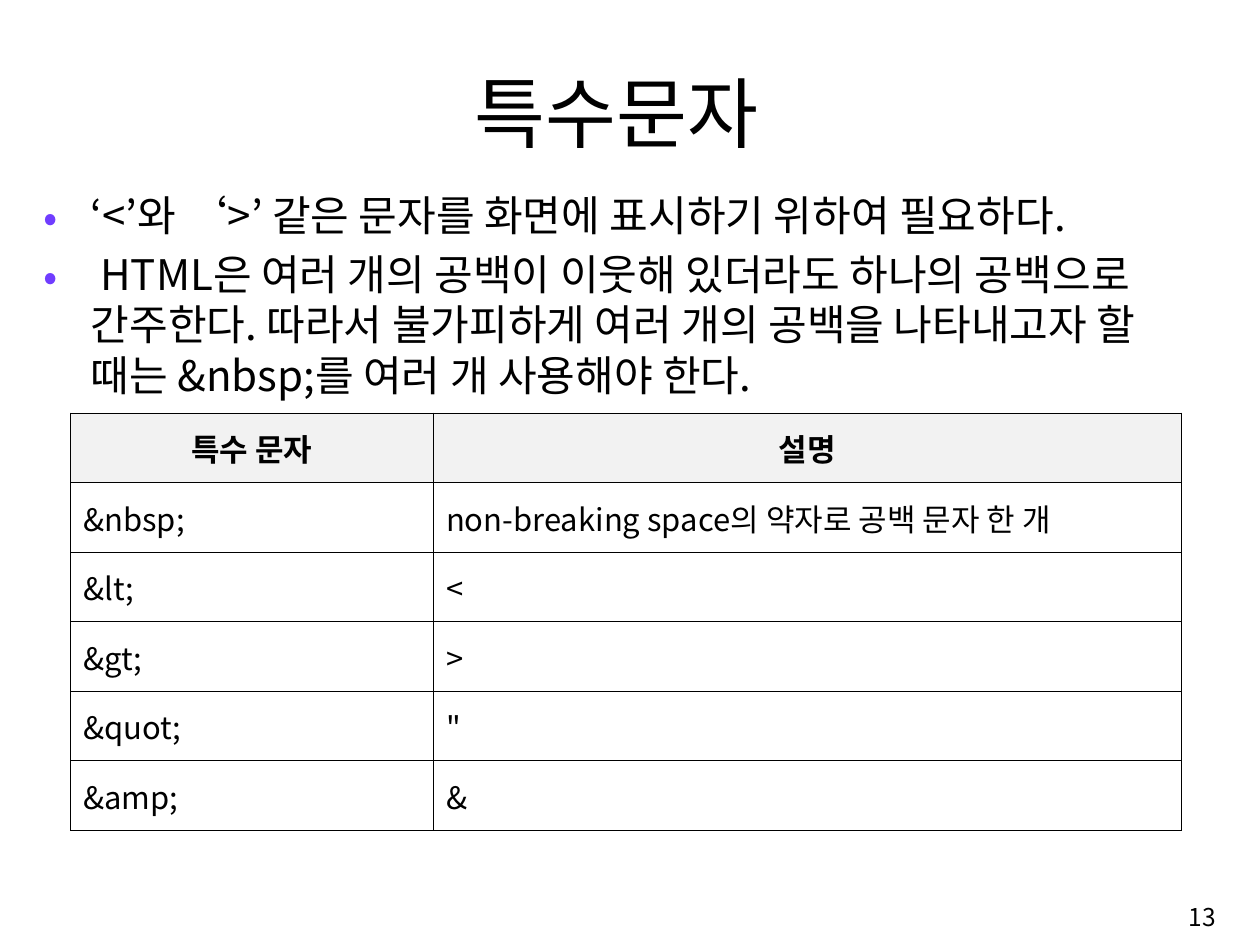
import pptx
import pptx.util
import pptx.dml.color
import pptx.enum.text
import pptx.oxml
import pptx.oxml.ns
import lxml.etree

Cm = pptx.util.Cm
Pt = pptx.util.Pt
ALIGN = pptx.enum.text.PP_ALIGN
ANCHOR = pptx.enum.text.MSO_ANCHOR
BLACK = pptx.dml.color.RGBColor(0x00, 0x00, 0x00)
HEADER_GREY = pptx.dml.color.RGBColor(0xF2, 0xF2, 0xF2)
BULLET_VIOLET = pptx.dml.color.RGBColor(0x70, 0x3D, 0xFF)

BODY = [
    "‘<’와 ‘>’ 같은 문자를 화면에 표시하기 위하여 필요하다.",
    " HTML은 여러 개의 공백이 이웃해 있더라도 하나의 공백으로 간주한다. "
    "따라서 불가피하게 여러 개의 공백을 나타내고자 할 때는 &nbsp;를 여러 개 사용해야 한다.",
]
ENTITIES = [
    ("특수 문자", "설명"),
    ("&nbsp;", "non-breaking space의 약자로 공백 문자 한 개"),
    ("&lt;", "<"),
    ("&gt;", ">"),
    ("&quot;", '"'),
    ("&amp;", "&"),
]


def add_xml(parent, tag, **attributes):
    return lxml.etree.SubElement(parent, pptx.oxml.ns.qn(tag), attributes)


class SlideBuilder:
    font_name = "Noto Sans CJK KR"
    margin_x = Cm(0.33)
    margin_y = Cm(0.16)

    def __init__(self, page):
        self.page = page

    def style(self, para, size, align=ALIGN.LEFT, bold=False):
        para.alignment = align
        font = para.font
        font.name, font.size, font.bold = self.font_name, Pt(size), bold
        font.color.rgb = BLACK
        add_xml(para._p.pPr.defRPr, "a:ea", typeface=self.font_name)

    def bullet(self, para, indent):
        properties = para._p.get_or_add_pPr()
        properties.set("marL", str(indent))
        properties.set("indent", str(-indent))
        color = add_xml(properties, "a:buClr")
        add_xml(color, "a:srgbClr", val=str(BULLET_VIOLET))
        add_xml(properties, "a:buFont", typeface=self.font_name)
        add_xml(properties, "a:buChar", char="•")

    def text(self, area, lines, size, align=ALIGN.LEFT, anchor=ANCHOR.TOP,
             indent=None, line_spacing=None):
        box = self.page.shapes.add_textbox(*map(Cm, area))
        frame = box.text_frame
        frame.word_wrap = True
        frame.vertical_anchor = anchor
        frame.margin_left = frame.margin_right = self.margin_x
        frame.margin_top = frame.margin_bottom = self.margin_y
        frame.text = "\n".join(lines)
        for para in frame.paragraphs:
            if line_spacing:
                para.line_spacing = line_spacing
            if indent:
                para.space_before = Pt(size * 0.2)
                self.bullet(para, Cm(indent))
            self.style(para, size, align)

    def border(self, cell):
        properties = cell._tc.get_or_add_tcPr()
        for position, side in enumerate(("a:lnL", "a:lnR", "a:lnT", "a:lnB")):
            line = pptx.oxml.parse_xml(
                f'<{side} {pptx.oxml.ns.nsdecls("a")} w="{Pt(1)}"><a:solidFill>'
                f'<a:srgbClr val="{BLACK}"/></a:solidFill></{side}>')
            properties.insert(position, line)

    def table(self, left, top, widths, row_height, rows, size):
        frame = self.page.shapes.add_table(
            len(rows), len(widths), Cm(left), Cm(top),
            Cm(sum(widths)), Cm(row_height * len(rows)))
        grid = frame.table
        for column, width in zip(grid.columns, widths):
            column.width = Cm(width)
        for row_index, row in enumerate(rows):
            header = row_index == 0
            for column_index, wording in enumerate(row):
                cell = grid.cell(row_index, column_index)
                cell.text = wording
                cell.vertical_anchor = ANCHOR.MIDDLE
                cell.margin_left = cell.margin_right = self.margin_x
                cell.margin_top = cell.margin_bottom = self.margin_y
                if header:
                    cell.fill.solid()
                    cell.fill.fore_color.rgb = HEADER_GREY
                else:
                    cell.fill.background()
                self.border(cell)
                self.style(cell.text_frame.paragraphs[0], size,
                           ALIGN.CENTER if header else ALIGN.LEFT, header)


def main():
    deck = pptx.Presentation()
    deck.slide_width, deck.slide_height = Cm(32.99), Cm(24.74)
    builder = SlideBuilder(deck.slides.add_slide(deck.slide_layouts[6]))
    builder.text((2.67, 1.55, 26.95, 2.74), ["특수문자"], 57.2,
                 ALIGN.CENTER, ANCHOR.BOTTOM)
    builder.text((0.81, 4.8, 31.29, 17.93), BODY, 31.2, indent=1.24)
    builder.table(1.85, 10.82, (9.5, 19.58), 1.82, ENTITIES, 23)
    builder.text((25.35, 23.24, 6.81, 1.52), ["13"], 18.2,
                 ALIGN.RIGHT, ANCHOR.MIDDLE)
    deck.save("out.pptx")


if __name__ == "__main__":
    main()
